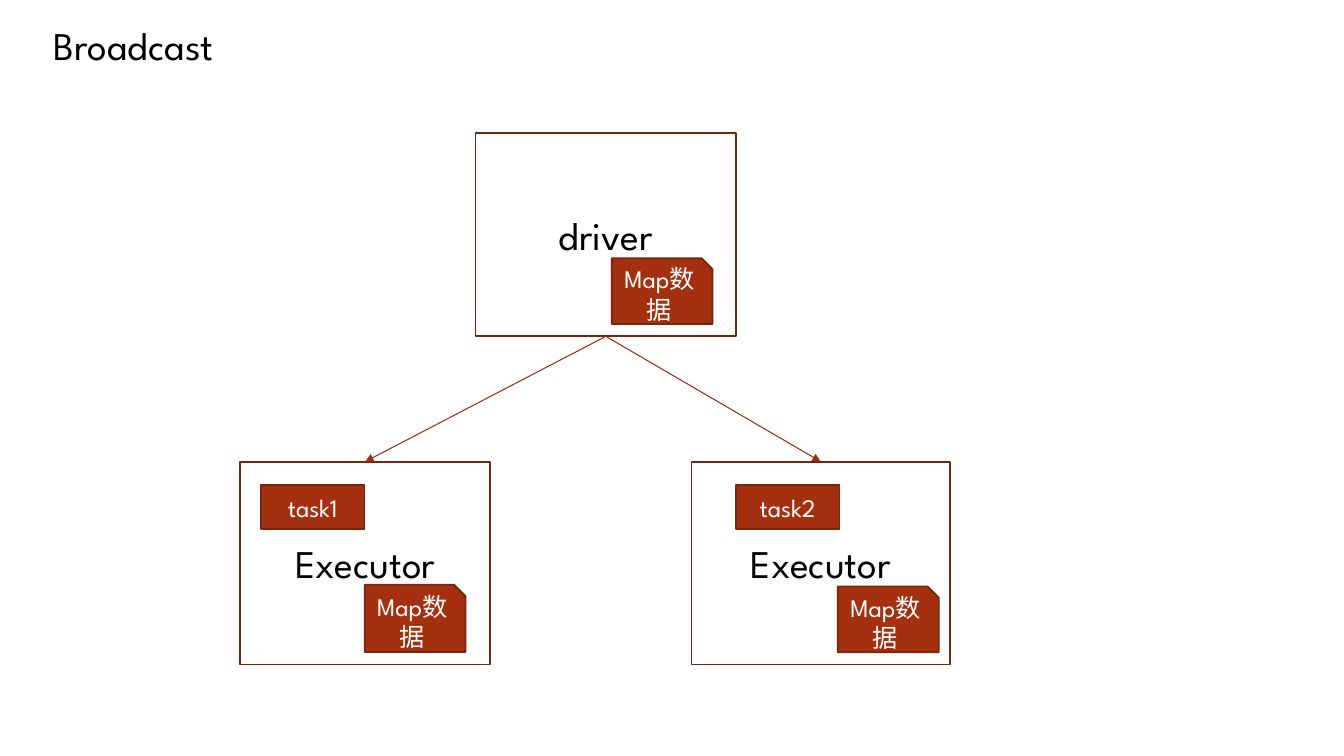
import pptx
import pptx.util
import pptx.dml.color
import pptx.enum.shapes
import pptx.enum.text
import pptx.oxml.ns
import lxml.etree

Pt = pptx.util.Pt
RGBColor = pptx.dml.color.RGBColor
SHAPE = pptx.enum.shapes.MSO_SHAPE
BLACK = RGBColor(0x00, 0x00, 0x00)
WHITE = RGBColor(0xFF, 0xFF, 0xFF)
RUST = RGBColor(0xA5, 0x30, 0x10)
DARK_RUST = RGBColor(0x7A, 0x24, 0x0C)
ARROW_RUST = RGBColor(0x9E, 0x2E, 0x0F)
LARGE = {"name": "League Spartan", "size": Pt(28)}
SMALL = {"name": "League Spartan", "size": Pt(18)}


def write(frame, text, font, color):
    span = frame.paragraphs[0].add_run()
    span.text = text
    for name, value in font.items():
        setattr(span.font, name, value)
    span.font.color.rgb = color


def add_box(kind, place, text, font, color, fill=None):
    box = slide.shapes.add_shape(kind, *[Pt(length) for length in place])
    box.shadow.inherit = False
    if fill is None:
        box.fill.background()
    else:
        box.fill.solid()
        box.fill.fore_color.rgb = fill
    box.line.color.rgb = DARK_RUST
    box.line.width = Pt(1.25)
    frame = box.text_frame
    frame.word_wrap = True
    frame.vertical_anchor = pptx.enum.text.MSO_ANCHOR.MIDDLE
    frame.paragraphs[0].alignment = pptx.enum.text.PP_ALIGN.CENTER
    write(frame, text, font, color)
    return box


deck = pptx.Presentation()
deck.slide_width = Pt(960)
deck.slide_height = Pt(540)
slide = deck.slides.add_slide(deck.slide_layouts[6])

title = slide.shapes.add_textbox(Pt(31.5), Pt(11.5), Pt(155), Pt(41))
title.text_frame.word_wrap = False
title.text_frame.auto_size = pptx.enum.text.MSO_AUTO_SIZE.SHAPE_TO_FIT_TEXT
write(title.text_frame, "Broadcast", LARGE, BLACK)

driver = add_box(SHAPE.RECTANGLE, (339.75, 95.25, 186, 145), "driver", LARGE, BLACK)
executors = [
    add_box(SHAPE.RECTANGLE, (left, 329.75, width, 145), "Executor", LARGE, BLACK)
    for left, width in [(171.5, 178.75), (494, 184.5)]
]

for executor in executors:
    arrow = slide.shapes.add_connector(
        pptx.enum.shapes.MSO_CONNECTOR.STRAIGHT, 0, 0, 0, 0)
    arrow.begin_connect(driver, 2)
    arrow.end_connect(executor, 0)
    arrow.line.color.rgb = ARROW_RUST
    arrow.line.width = Pt(0.75)
    lxml.etree.SubElement(
        arrow.line._get_or_add_ln(), pptx.oxml.ns.qn("a:tailEnd"), type="triangle")
    lxml.etree.SubElement(
        arrow._element.spPr, pptx.oxml.ns.qn("a:effectLst"))

for left, top, height in [(437, 184.5, 47), (260.5, 417.75, 48), (598.5, 419, 47)]:
    add_box(SHAPE.SNIP_1_RECTANGLE, (left, top, 72, height),
            "Map数据", SMALL, WHITE, RUST)

for number, left in enumerate([186.25, 525.5], 1):
    add_box(SHAPE.RECTANGLE, (left, 346.5, 74.25, 31.5),
            f"task{number}", SMALL, WHITE, RUST)

deck.save("out.pptx")
